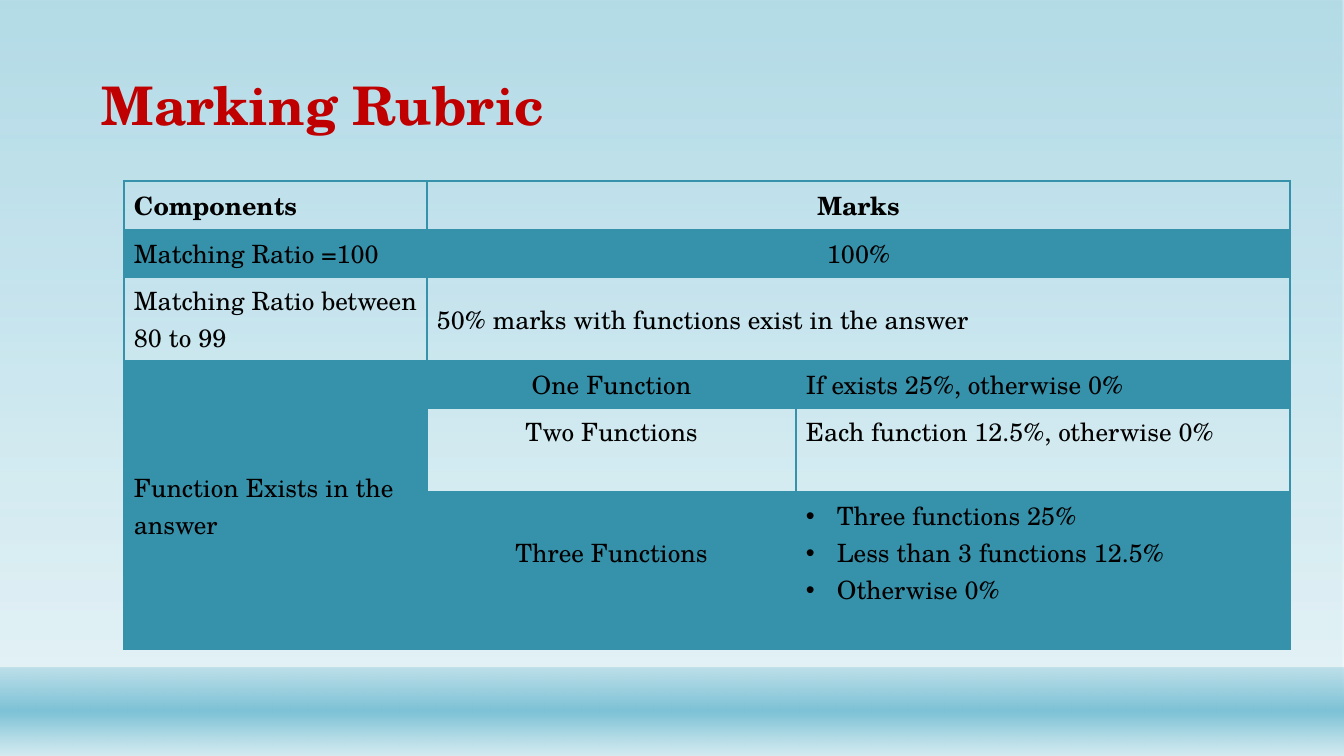
import pptx
import pptx.util
import pptx.dml.color
import pptx.enum.shapes
import pptx.enum.text
import pptx.oxml
import pptx.oxml.ns

PX = 914400 / 100.8
WIDE, HIGH = 1344, 756
FACE = "TeX Gyre Schola"
TEAL, RED, BLACK = "3691AA", "C00000", "000000"
SKY, PALE = "7DC2D6", "D4EBF1"
NS = pptx.oxml.ns.nsdecls("a")
ALIGN = pptx.enum.text.PP_ALIGN
ANCHOR = pptx.enum.text.MSO_ANCHOR

COLS = (303, 369, 494)
ROWS = (49, 47, 84, 47, 84, 158)
LINE = 37  # height of one line of table text
MERGES = (((0, 1), (0, 2)), ((1, 1), (1, 2)), ((2, 1), (2, 2)), ((3, 0), (5, 0)))
# row, column, centred, text lines
CELLS = (
    (0, 0, False, ["Components"]),
    (0, 1, True, ["Marks"]),
    (1, 0, False, ["Matching Ratio =100"]),
    (1, 1, True, ["100%"]),
    (2, 0, False, ["Matching Ratio between 80 to 99"]),
    (2, 1, False, ["50% marks with functions exist in the answer"]),
    (3, 0, False, ["Function Exists in the answer"]),
    (3, 1, True, ["One Function"]),
    (3, 2, False, ["If exists 25%, otherwise 0%"]),
    (4, 1, True, ["Two Functions"]),
    (4, 2, False, ["Each function 12.5%, otherwise 0%"]),
    (5, 1, True, ["Three Functions"]),
    (5, 2, False, ["Three functions 25%", "Less than 3 functions 12.5%", "Otherwise 0%"]),
)


def px(num):
    return pptx.util.Emu(round(num * PX))


def tint(code):
    return pptx.dml.color.RGBColor.from_string(code)


def put(item, vals):
    for name, val in vals.items():
        setattr(item, name, val)


def ink(run, size, code, bold):
    put(run.font, {"name": FACE, "size": pptx.util.Pt(size), "bold": bold})
    run.font.color.rgb = tint(code)


def band(slide, top, high, stops):
    """Full-width rectangle with a vertical gradient."""
    kind = pptx.enum.shapes.MSO_SHAPE.RECTANGLE
    shape = slide.shapes.add_shape(kind, 0, px(top), px(WIDE), px(high))
    shape.shadow.inherit = False
    shape.line.fill.background()
    marks = "".join(
        f'<a:gs pos="{pos * 1000}"><a:srgbClr val="{code}">'
        f'<a:alpha val="{alpha * 1000}"/></a:srgbClr></a:gs>'
        for pos, code, alpha in stops)
    grad = pptx.oxml.parse_xml(
        f'<a:gradFill {NS} rotWithShape="1"><a:gsLst>{marks}</a:gsLst>'
        '<a:lin ang="5400000" scaled="0"/></a:gradFill>')
    shape.element.spPr.find(pptx.oxml.ns.qn("a:prstGeom")).addnext(grad)


def title(slide, text):
    box = slide.shapes.add_textbox(px(92), px(55), px(1048), px(87))
    put(box.text_frame, {"word_wrap": True, "vertical_anchor": ANCHOR.BOTTOM})
    para = box.text_frame.paragraphs[0]
    para.line_spacing = 0.9
    run = para.add_run()
    run.text = text
    ink(run, 38, RED, True)


def edge(cell, row):
    """Four cell borders; the rule under the header is heavier."""
    props = cell._tc.get_or_add_tcPr()
    heavy = {(0, "B"), (1, "T")}
    for side in "LRTB":
        wide = pptx.util.Pt(2 if (row, side) in heavy else 1)
        props.append(pptx.oxml.parse_xml(
            f'<a:ln{side} {NS} w="{wide}"><a:solidFill>'
            f'<a:srgbClr val="{TEAL}"/></a:solidFill></a:ln{side}>'))


def shade(cell, row):
    if row % 2 == 0:
        cell.fill.background()
        return
    cell.fill.solid()
    cell.fill.fore_color.rgb = tint(TEAL)
    clr = cell._tc.tcPr.find(".//" + pptx.oxml.ns.qn("a:srgbClr"))
    clr.append(pptx.oxml.parse_xml(f'<a:alpha {NS} val="20000"/>'))


def bullet(para):
    props = para._p.get_or_add_pPr()
    props.set("marL", str(px(31)))
    props.set("indent", str(px(-31)))
    props.append(pptx.oxml.parse_xml(f'<a:buFont {NS} typeface="Arial"/>'))
    props.append(pptx.oxml.parse_xml(f'<a:buChar {NS} char="•"/>'))


def write(cell, lines, mid, bold):
    frame = cell.text_frame
    for num, text in enumerate(lines):
        para = frame.add_paragraph() if num else frame.paragraphs[0]
        para.alignment = ALIGN.CENTER if mid else ALIGN.LEFT
        if len(lines) > 1:
            bullet(para)
        run = para.add_run()
        run.text = text
        ink(run, 18, BLACK, bold)


def rubric(slide):
    table = slide.shapes.add_table(
        len(ROWS), len(COLS), px(124), px(181), px(sum(COLS)), px(sum(ROWS))).table
    put(table, {"first_row": False, "horz_banding": False})
    for col, wide in zip(table.columns, COLS):
        col.width = px(wide)
    for row, high in zip(table.rows, ROWS):
        row.height = px(high)
    for first, last in MERGES:
        table.cell(*first).merge(table.cell(*last))
    for row in range(len(ROWS)):
        for col in range(len(COLS)):
            cell = table.cell(row, col)
            edge(cell, row)
            shade(cell, row)
            # The last two rows keep one line free below their text
            low = 5 + LINE if row > 3 and col else 5
            put(cell, {"vertical_anchor": ANCHOR.MIDDLE,
                       "margin_left": px(10), "margin_right": px(10),
                       "margin_top": px(5), "margin_bottom": px(low)})
    for row, col, mid, lines in CELLS:
        write(table.cell(row, col), lines, mid, row == 0)


def main():
    deck = pptx.Presentation()
    put(deck, {"slide_width": px(WIDE), "slide_height": px(HIGH)})
    slide = deck.slides.add_slide(deck.slide_layouts[6])
    # Backdrop
    band(slide, 0, HIGH, ((0, SKY, 58), (88, PALE, 65)))
    band(slide, 668, 88, ((1, SKY, 38), (49, SKY, 100), (100, PALE, 89)))
    # Content
    rubric(slide)
    title(slide, "Marking Rubric")
    deck.save("out.pptx")


if __name__ == "__main__":
    main()
